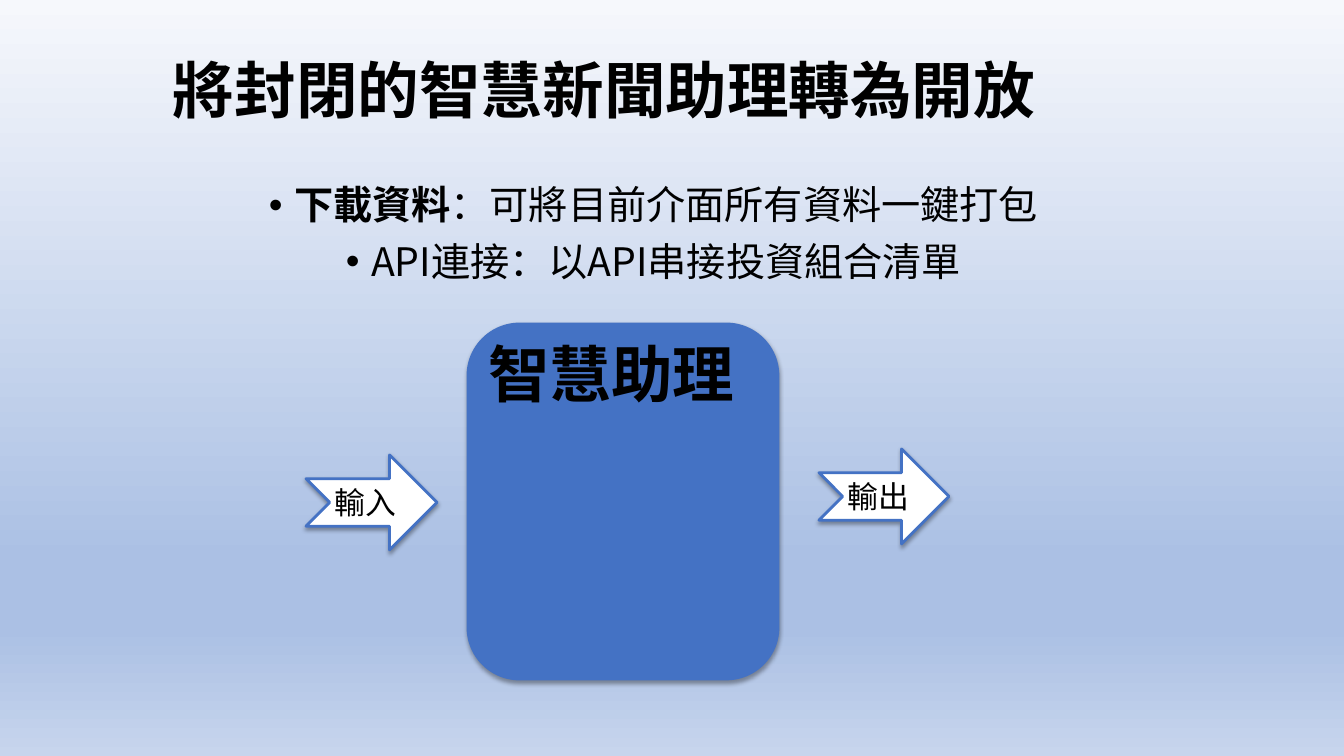
from dataclasses import dataclass

from lxml import etree
from pptx import Presentation
from pptx.dml.color import RGBColor
from pptx.enum.shapes import MSO_SHAPE
from pptx.enum.text import MSO_ANCHOR as Anchor, MSO_AUTO_SIZE as AutoSize, PP_ALIGN as Align
from pptx.oxml import parse_xml
from pptx.oxml.ns import nsdecls, qn
from pptx.util import Emu, Pt

PX = 914400 / 100.8
BLACK = RGBColor(0x00, 0x00, 0x00)
WHITE = RGBColor(0xFF, 0xFF, 0xFF)
BLUE = RGBColor(0x44, 0x72, 0xC4)
SKY_STOPS = [
    (0, RGBColor(0xF6, 0xF8, 0xFC)),
    (74, RGBColor(0xAB, 0xC0, 0xE4)),
    (83, RGBColor(0xAB, 0xC0, 0xE4)),
    (100, RGBColor(0xC7, 0xD5, 0xED)),
]
CJK = "Noto Sans CJK SC"
LATIN = "Calibri"


@dataclass
class Block:
    """A filled shape with a label; lengths in px."""
    kind: MSO_SHAPE
    box: tuple[int, int, int, int]
    fill: RGBColor
    text: str
    font: str = LATIN
    size: int = 22
    bold: bool = False
    anchor: Anchor = Anchor.MIDDLE
    spacing: float = 1.0


BLOCKS = [
    Block(MSO_SHAPE.ROUNDED_RECTANGLE, (468, 324, 310, 355), BLUE, "智慧助理",
          font=CJK, size=44, bold=True, anchor=Anchor.TOP, spacing=0.9),
    Block(MSO_SHAPE.NOTCHED_RIGHT_ARROW, (819, 449, 130, 95), WHITE, "輸出"),
    Block(MSO_SHAPE.NOTCHED_RIGHT_ARROW, (306, 455, 131, 95), WHITE, "輸入"),
]
BULLETS = [
    [("下載資料", True), ("：可將目前介面所有資料一鍵打包", False)],
    [("API連接：以API串接投資組合清單", False)],
]


def px(n: float) -> Emu:
    return Emu(round(n * PX))


def place(s, left: int, top: int, width: int, height: int) -> None:
    s.left, s.top, s.width, s.height = map(px, (left, top, width, height))


def add_text(p, text: str, *, font: str = CJK, size: int = 28, bold: bool = False) -> None:
    r = p.add_run()
    r.text = text
    r.font.size, r.font.bold, r.font.name = Pt(size), bold, font
    r.font.color.rgb = BLACK
    ea = etree.SubElement(r.font._element, qn("a:ea"))
    ea.set("typeface", font)


def set_background(slide) -> None:
    stops = "".join(f'<a:gs pos="{pos * 1000}"><a:srgbClr val="{color}"/></a:gs>'
                    for pos, color in SKY_STOPS)
    fill = slide.background.fill
    fill.solid()
    bg_pr = slide._element.cSld.find(qn("p:bg")).find(qn("p:bgPr"))
    bg_pr.replace(bg_pr.find(qn("a:solidFill")), parse_xml(
        f'<a:gradFill {nsdecls("a")} rotWithShape="1"><a:gsLst>{stops}</a:gsLst>'
        '<a:lin ang="5400000" scaled="0"/></a:gradFill>'))


def add_shadow(s) -> None:
    s.shadow.inherit = False
    s._element.spPr.find(qn("a:effectLst")).append(parse_xml(
        f'<a:outerShdw {nsdecls("a")} blurRad="{Pt(3)}" dist="{Pt(1.8)}" dir="5400000" '
        'rotWithShape="0"><a:srgbClr val="000000"><a:alpha val="35000"/></a:srgbClr>'
        '</a:outerShdw>'))


def add_block(slide, block: Block) -> None:
    s = slide.shapes.add_shape(block.kind, *map(px, block.box))
    s.fill.solid()
    s.fill.fore_color.rgb = block.fill
    s.line.color.rgb, s.line.width = BLUE, Pt(2)
    add_shadow(s)
    tf = s.text_frame
    tf.word_wrap, tf.vertical_anchor = True, block.anchor
    tf.margin_left = tf.margin_top = tf.margin_right = tf.margin_bottom = px(5)
    p = tf.paragraphs[0]
    p.alignment, p.line_spacing = Align.LEFT, block.spacing
    add_text(p, block.text, font=block.font, size=block.size, bold=block.bold)


def fill_title(s) -> None:
    place(s, 25, 21, 1159, 146)
    tf = s.text_frame
    tf.auto_size, tf.vertical_anchor = AutoSize.NONE, Anchor.MIDDLE
    p = tf.paragraphs[0]
    p.alignment, p.line_spacing = Align.CENTER, 0.9
    add_text(p, "將封閉的智慧新聞助理轉為開放", size=44, bold=True)


def fill_bullets(s) -> None:
    place(s, 219, 181, 869, 584)
    tf = s.text_frame
    tf.auto_size, tf.vertical_anchor = AutoSize.NONE, Anchor.TOP
    for i, runs in enumerate(BULLETS):
        p = tf.add_paragraph() if i else tf.paragraphs[0]
        p.alignment, p.line_spacing = Align.CENTER, 0.9
        p.space_before = Pt(10 if i else 0)
        p_pr = p._p.get_or_add_pPr()
        p_pr.set("marL", "228600")
        p_pr.set("indent", "-228600")
        etree.SubElement(p_pr, qn("a:buFont")).set("typeface", "Arial")
        etree.SubElement(p_pr, qn("a:buChar")).set("char", "•")
        for text, bold in runs:
            add_text(p, text, bold=bold)


def main() -> None:
    prs = Presentation()
    prs.slide_width, prs.slide_height = px(1344), px(756)
    slide = prs.slides.add_slide(prs.slide_layouts[1])
    set_background(slide)

    # Heading and list
    fill_title(slide.shapes.title)
    fill_bullets(slide.placeholders[1])

    # Assistant with its input and output arrows
    for block in BLOCKS:
        add_block(slide, block)

    prs.save("out.pptx")


if __name__ == "__main__":
    main()
